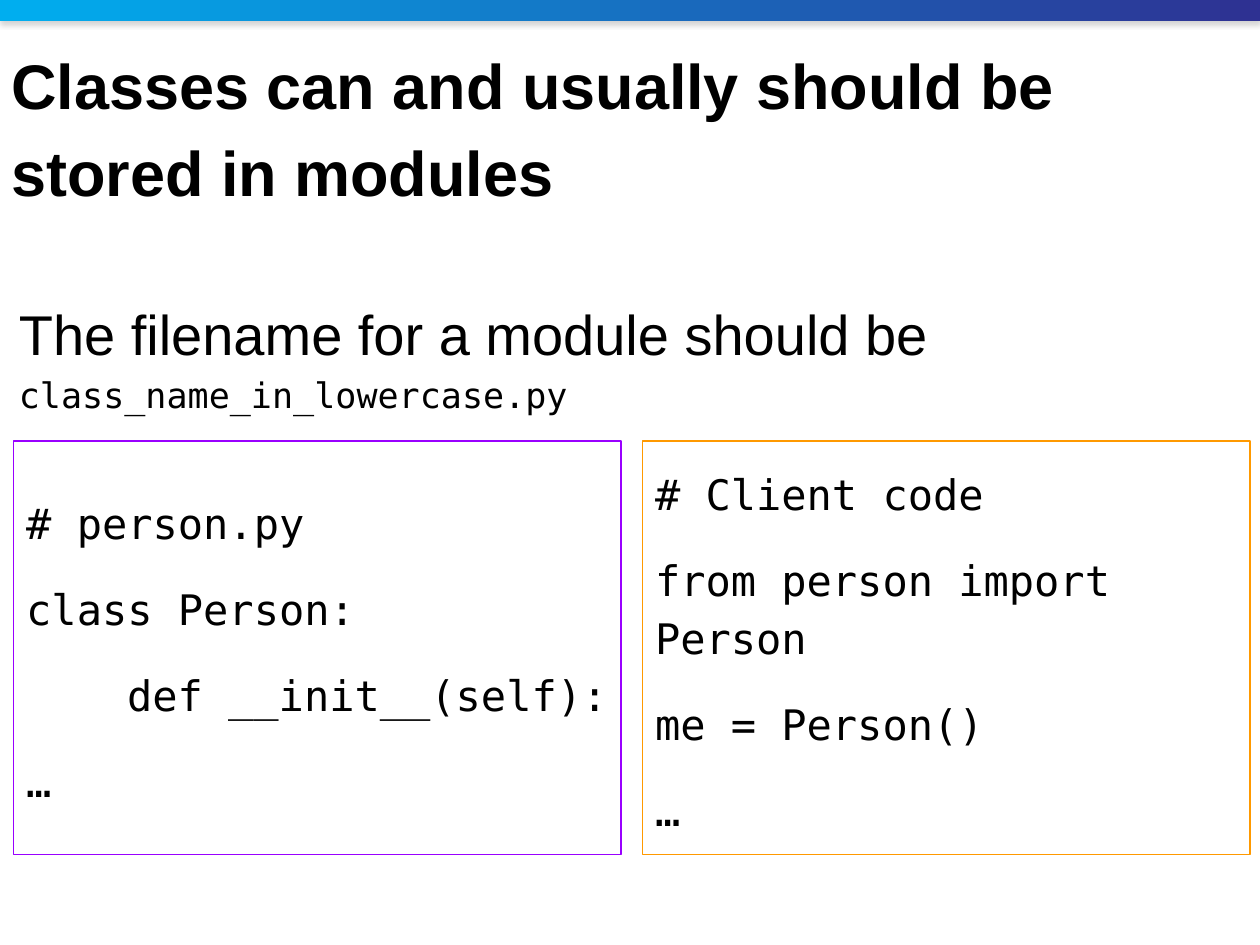
import pptx
import pptx.dml.color
import pptx.enum.shapes
import pptx.enum.text
import pptx.oxml.ns
import pptx.util
from lxml import etree
from pptx.util import Inches

COLORS = {
    "text": "000000",
    "bar_start": "00AEEF",
    "bar_end": "2E3192",
    "shadow": "808080",
    "module": "9900FF",
    "client": "FF9900",
}
SANS = "Arial"
MONO = "DejaVu Sans Mono"


def rgb(name):
    return pptx.dml.color.RGBColor.from_string(COLORS[name])


def add_run(paragraph, text, size, font_name, bold=False):
    paragraph.line_spacing = 1.15
    run = paragraph.add_run()
    run.text = text
    run.font.size = pptx.util.Pt(size)
    run.font.name = font_name
    run.font.bold = bold
    run.font.color.rgb = rgb("text")


presentation = pptx.Presentation()
presentation.slide_width = Inches(10)
presentation.slide_height = Inches(7.5)
slide = presentation.slides.add_slide(presentation.slide_layouts[6])
rectangle = pptx.enum.shapes.MSO_SHAPE.RECTANGLE

# Gradient bar along the top, with a soft shadow below it
bar = slide.shapes.add_shape(rectangle, 0, 0, Inches(10), Inches(0.17))
bar.line.fill.background()
bar.fill.gradient()
bar.fill.gradient_angle = 0
for stop, name in zip(bar.fill.gradient_stops, ("bar_start", "bar_end")):
    stop.color.rgb = rgb(name)
bar.shadow.inherit = False
qn = pptx.oxml.ns.qn
effects = bar.element.spPr.find(qn("a:effectLst"))
shadow = etree.SubElement(
    effects, qn("a:outerShdw"), blurRad=str(pptx.util.Pt(3.1)),
    dist=str(pptx.util.Pt(1.8)), dir="5400000", rotWithShape="0")
shadow_color = etree.SubElement(shadow, qn("a:srgbClr"), val=COLORS["shadow"])
etree.SubElement(shadow_color, qn("a:alpha"), val="35000")

# Title and body text: left, top, width, height, top inset, runs
text_boxes = [
    (0.08, 1.55, 9.76, 5.3, 0.75, [
        ("The filename for a module should be ", 32, SANS, False),
        ("class_name_in_lowercase.py", 20, MONO, False)]),
    (0.02, 0.21, 8.72, 0.54, 0.07, [
        ("Classes can and usually should be stored in modules", 36, SANS, True)]),
]
for left, top, width, height, top_inset, runs in text_boxes:
    text_box = slide.shapes.add_textbox(
        Inches(left), Inches(top), Inches(width), Inches(height))
    frame = text_box.text_frame
    frame.word_wrap = True
    frame.vertical_anchor = pptx.enum.text.MSO_ANCHOR.TOP
    frame.margin_left = frame.margin_right = frame.margin_bottom = Inches(0.07)
    frame.margin_top = Inches(top_inset)
    for run in runs:
        add_run(frame.paragraphs[0], *run)

# Code boxes: left, outline colour, lines as (indent, text)
code_boxes = [
    (5.1, "client", [(0, "# Client code"), (0, "from person import Person"),
                     (0, "me = Person()"), (0, "…")]),
    (0.11, "module", [(0, "# person.py"), (0, "class Person:"),
                      (0.8, "def __init__(self):"), (0, "…")]),
]
for left, outline, lines in code_boxes:
    box = slide.shapes.add_shape(
        rectangle, Inches(left), Inches(3.5), Inches(4.82), Inches(3.28))
    box.shadow.inherit = False
    box.fill.background()
    box.line.color.rgb = rgb(outline)
    box.line.width = pptx.util.Pt(0.75)
    frame = box.text_frame
    frame.word_wrap = True
    frame.vertical_anchor = pptx.enum.text.MSO_ANCHOR.MIDDLE
    frame.margin_left = frame.margin_right = Inches(0.1)
    frame.margin_top = frame.margin_bottom = Inches(0.1)
    for index, (indent, text) in enumerate(lines):
        paragraph = frame.add_paragraph() if index else frame.paragraphs[0]
        paragraph.alignment = pptx.enum.text.PP_ALIGN.LEFT
        paragraph.space_before = pptx.util.Pt(6)
        paragraph.space_after = pptx.util.Pt(10)
        if indent:
            paragraph._p.get_or_add_pPr().set("marL", str(Inches(indent)))
        add_run(paragraph, text, 24, MONO)

presentation.save("out.pptx")
